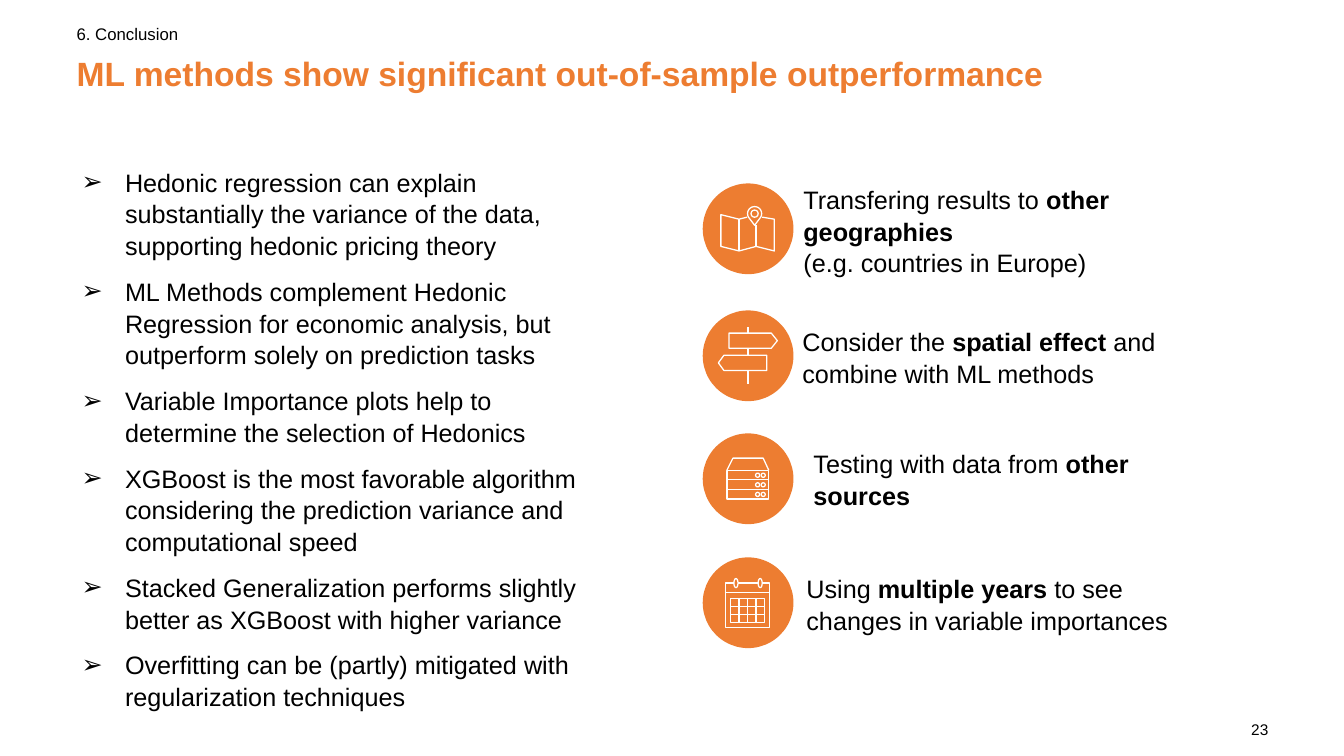
import math

import pptx
import pptx.dml.color
import pptx.enum.shapes
import pptx.enum.text
import pptx.util
from lxml import etree
from pptx.oxml.ns import qn

Inches, Pt = pptx.util.Inches, pptx.util.Pt
RGBColor = pptx.dml.color.RGBColor
MSO_ANCHOR = pptx.enum.text.MSO_ANCHOR
PP_ALIGN = pptx.enum.text.PP_ALIGN
AUTO_SIZE = pptx.enum.text.MSO_AUTO_SIZE

ORANGE = RGBColor(0xED, 0x7D, 0x31)
WHITE = RGBColor(0xFF, 0xFF, 0xFF)
BLACK = RGBColor(0x00, 0x00, 0x00)

ICON_X, ICON_SIZE = 6.97, 0.9

FINDINGS = [
    "Hedonic regression can explain substantially the variance of the data, "
    "supporting hedonic pricing theory",
    "ML Methods complement Hedonic Regression for economic analysis, "
    "but outperform solely on prediction tasks",
    "Variable Importance plots help to determine the selection of Hedonics",
    "XGBoost is the most favorable algorithm considering the prediction variance "
    "and computational speed",
    "Stacked Generalization performs slightly better as XGBoost with higher variance",
    "Overfitting can be (partly) mitigated with regularization techniques",
]


def closed(*points):
    return [*points, points[0]]


def box(x1, y1, x2, y2):
    return closed((x1, y1), (x2, y1), (x2, y2), (x1, y2))


def arc(cx, cy, rx, ry, start=0, end=360, steps=24):
    """Points along an ellipse; angles run clockwise from the right."""
    angles = [math.radians(start + (end - start) * i / steps) for i in range(steps + 1)]
    return [(cx + rx * math.cos(a), cy + ry * math.sin(a)) for a in angles]


# Each icon is a list of strokes, in inches from the corner of its circle.
MAP = [
    [(0.44, 0.335), (0.36, 0.355), (0.18, 0.31), (0.18, 0.625), (0.36, 0.67),
     (0.53, 0.625), (0.71, 0.67), (0.71, 0.355), (0.59, 0.335)],
    [(0.36, 0.355), (0.36, 0.67)],
    [(0.53, 0.41), (0.53, 0.625)],
    closed((0.515, 0.415), *arc(0.515, 0.3, 0.07, 0.07, 150, 390)),
    arc(0.515, 0.3, 0.035, 0.035),
]
SIGNPOST = [
    closed((0.26, 0.225), (0.68, 0.225), (0.74, 0.3), (0.68, 0.375), (0.26, 0.375)),
    closed((0.635, 0.445), (0.21, 0.445), (0.155, 0.52), (0.21, 0.595), (0.635, 0.595)),
    *[[(0.45, top), (0.45, bottom)]
      for top, bottom in ((0.165, 0.225), (0.375, 0.445), (0.595, 0.73))],
]
SERVER = [
    [(0.24, 0.365), (0.3, 0.245), (0.6, 0.245), (0.655, 0.365)],
    box(0.24, 0.365, 0.655, 0.65),
    *[[(0.24, y), (0.655, y)] for y in (0.46, 0.555)],
    *[arc(x, 0.415 + 0.095 * row, 0.02, 0.02) for row in range(3) for x in (0.545, 0.6)],
]
CALENDAR = [
    [(0.31, 0.255), (0.225, 0.255), (0.225, 0.695), (0.665, 0.695), (0.665, 0.255),
     (0.59, 0.255)],
    [(0.35, 0.255), (0.55, 0.255)],
    [(0.225, 0.345), (0.665, 0.345)],
    *[arc(x, 0.255, 0.02, 0.045) for x in (0.33, 0.57)],
    box(0.275, 0.405, 0.615, 0.645),
    *[[(0.275 + 0.085 * i, 0.405), (0.275 + 0.085 * i, 0.645)] for i in (1, 2, 3)],
    *[[(0.275, 0.405 + 0.08 * i), (0.615, 0.405 + 0.08 * i)] for i in (1, 2)],
]

# Icon, circle top, text frame, runs as (text, bold); "\n" starts a new line.
OUTLOOK = [
    (MAP, 1.82, (7.87, 1.78, 3.94, 1.01),
     [("Transfering results to ", False), ("other geographies", True), "\n",
      ("(e.g. countries in Europe)", False)]),
    (SIGNPOST, 3.08, (7.86, 3.18, 3.94, 0.71),
     [("Consider the ", False), ("spatial effect ", True),
      ("and combine with ML methods", False)]),
    (SERVER, 4.3, (7.97, 4.55, 3.94, 0.4),
     [("Testing with data from ", False), ("other sources", True)]),
    (CALENDAR, 5.53, (7.9, 5.63, 3.94, 0.71),
     [("Using ", False), ("multiple years ", True),
      ("to see changes in variable importances", False)]),
]


class SlideBuilder:
    font = "Arial"

    def __init__(self, slide):
        self.s = slide

    def text(self, frame, paragraphs, size=18, color=BLACK, insets=(0.1, 0.05, 0.1, 0.05),
             bullet=None, frame_format=None, **paragraph_format):
        """Add a text box; each paragraph is a list of (text, bold) runs or line breaks."""
        sp = self.s.shapes.add_textbox(*map(Inches, frame))
        tf = sp.text_frame
        sides = ("margin_left", "margin_top", "margin_right", "margin_bottom")
        settings = {"word_wrap": True, **dict(zip(sides, map(Inches, insets))),
                    **(frame_format or {})}
        for name, value in settings.items():
            setattr(tf, name, value)
        for i, runs in enumerate(paragraphs):
            p = tf.add_paragraph() if i else tf.paragraphs[0]
            for name, value in paragraph_format.items():
                setattr(p, name, value)
            if bullet:
                self.bullet(p, bullet)
            for run in runs:
                if run == "\n":
                    p.add_line_break()
                    continue
                r = p.add_run()
                r.text, bold = run
                r.font.color.rgb = color
                for name, value in {"name": self.font, "size": Pt(size), "bold": bold}.items():
                    setattr(r.font, name, value)

    def bullet(self, p, char):
        pPr = p._p.get_or_add_pPr()
        pPr.set("marL", str(Inches(0.44)))
        pPr.set("indent", str(Inches(-0.43)))
        etree.SubElement(pPr, qn("a:buFont")).set("typeface", self.font)
        etree.SubElement(pPr, qn("a:buChar")).set("char", char)

    def circle(self, x, y, size):
        sp = self.s.shapes.add_shape(pptx.enum.shapes.MSO_SHAPE.OVAL,
                                     *map(Inches, (x, y, size, size)))
        sp.shadow.inherit = False
        sp.fill.solid()
        sp.fill.fore_color.rgb = ORANGE
        sp.line.fill.background()

    def icon(self, x, y, strokes):
        paths = [[(Inches(x + dx), Inches(y + dy)) for dx, dy in stroke] for stroke in strokes]
        builder = self.s.shapes.build_freeform(*paths[0][0])
        for i, points in enumerate(paths):
            if i:
                builder.move_to(*points[0])
            builder.add_line_segments(points[1:], close=points[0] == points[-1])
        sp = builder.convert_to_shape()
        sp.shadow.inherit = False
        sp.fill.background()
        sp.line.color.rgb = WHITE
        sp.line.width = Pt(0.9)


def main():
    prs = pptx.Presentation()
    prs.slide_width, prs.slide_height = Inches(13.33), Inches(7.5)
    b = SlideBuilder(prs.slides.add_slide(prs.slide_layouts[6]))

    b.text((0.76, 0.52, 10.47, 1.02),
           [[("ML methods show significant out-of-sample outperformance", True)]],
           size=24, color=ORANGE, insets=(0, 0.05, 0.1, 0.05), line_spacing=0.9)
    b.text((0.76, 0.22, 10.16, 0.24), [[("6. Conclusion", False)]], size=12,
           insets=(0, 0, 0, 0), frame_format={"vertical_anchor": MSO_ANCHOR.MIDDLE})
    b.text((11.91, 7.1, 0.67, 0.3), [[("23", False)]], size=11,
           insets=(0, 0.05, 0, 0.05), alignment=PP_ALIGN.RIGHT)
    b.text((0.76, 1.6, 5.15, 5.32), [[(finding, False)] for finding in FINDINGS],
           insets=(0.04, 0.04, 0.04, 0), bullet="➢", line_spacing=1.05, space_after=Pt(10))

    for strokes, top, frame, runs in OUTLOOK:
        b.circle(ICON_X, top, ICON_SIZE)
        b.icon(ICON_X, top, strokes)
        b.text(frame, [runs], line_spacing=1.05, space_after=Pt(10),
               frame_format={"vertical_anchor": MSO_ANCHOR.MIDDLE,
                             "auto_size": AUTO_SIZE.SHAPE_TO_FIT_TEXT})

    prs.save("out.pptx")


if __name__ == "__main__":
    main()
